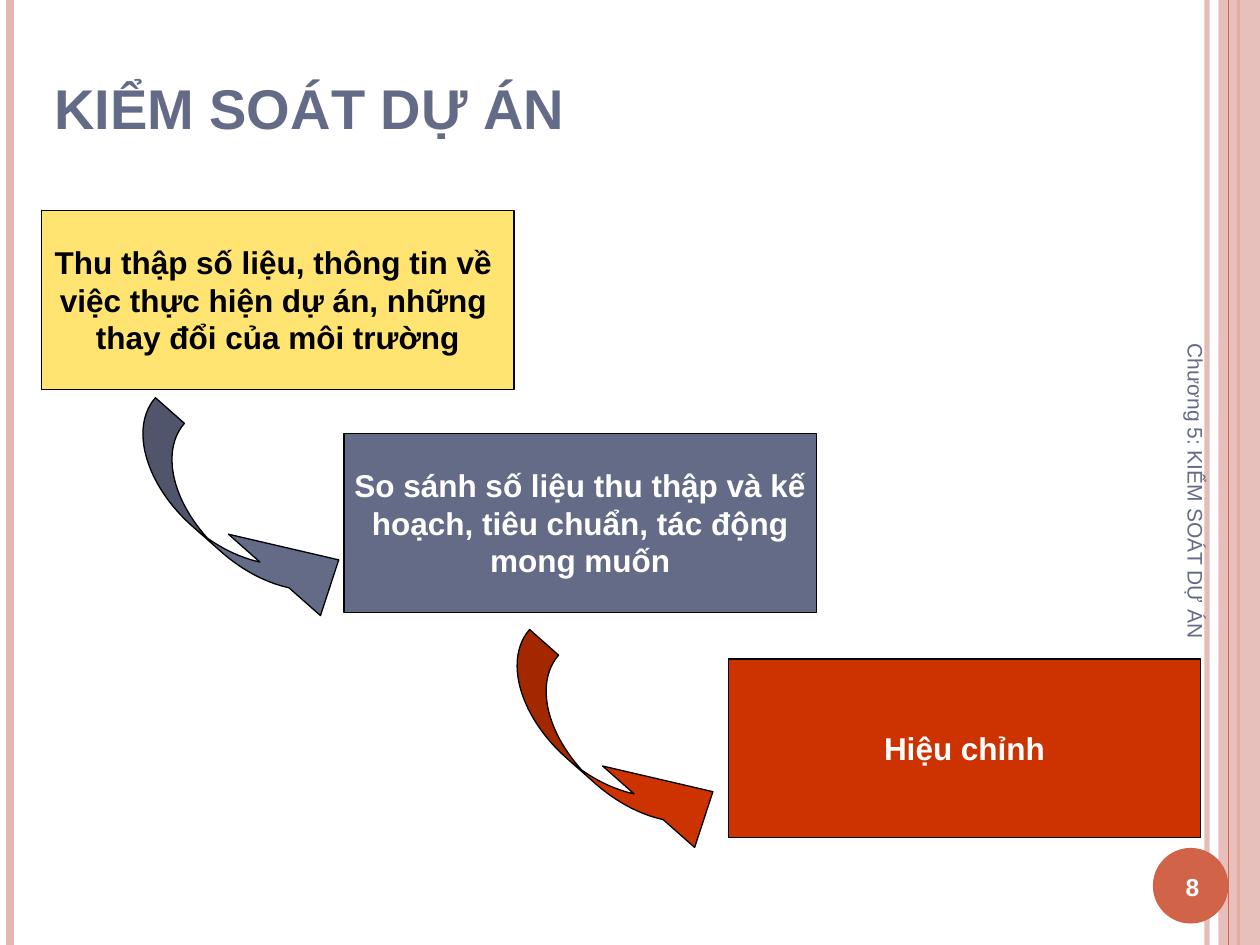
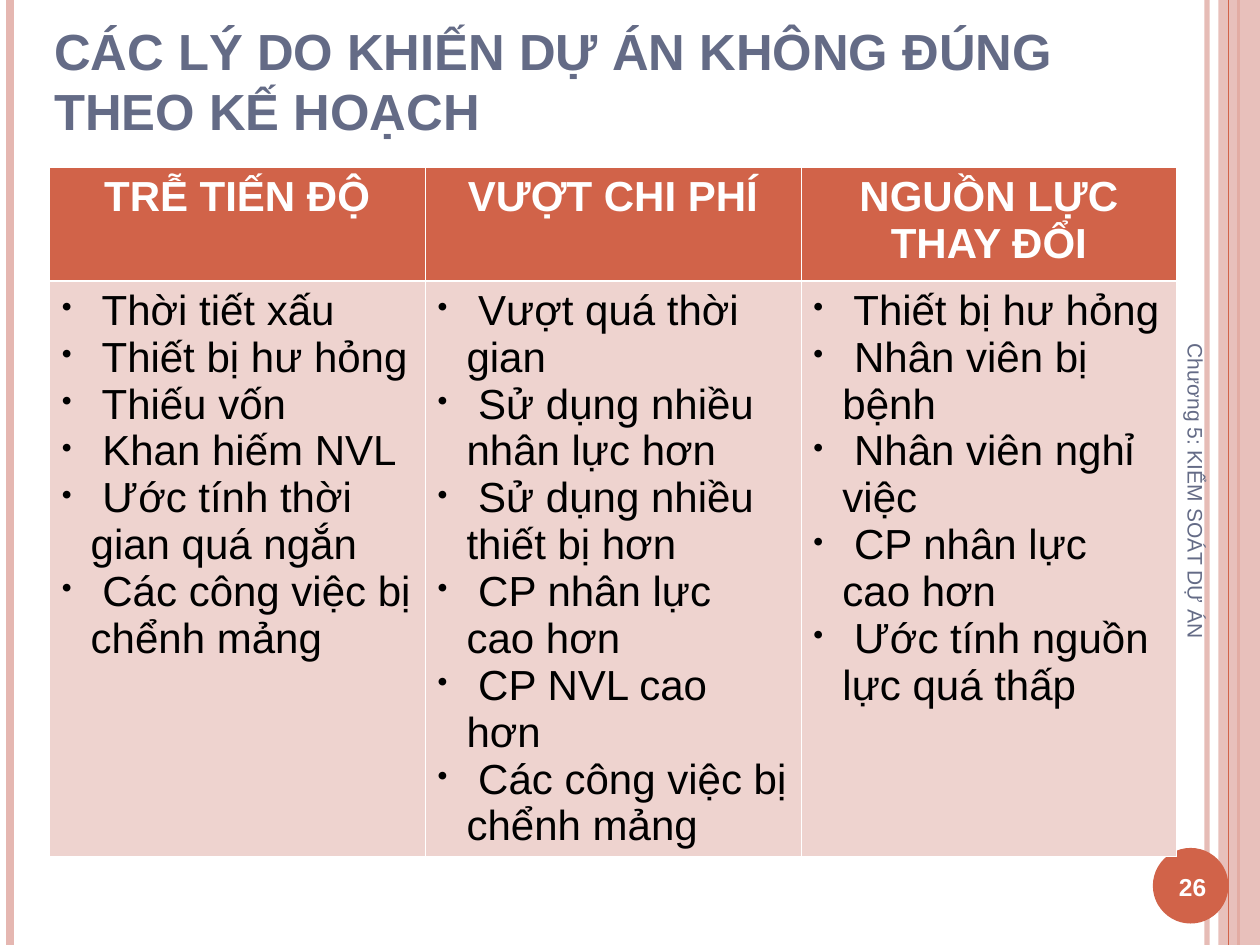
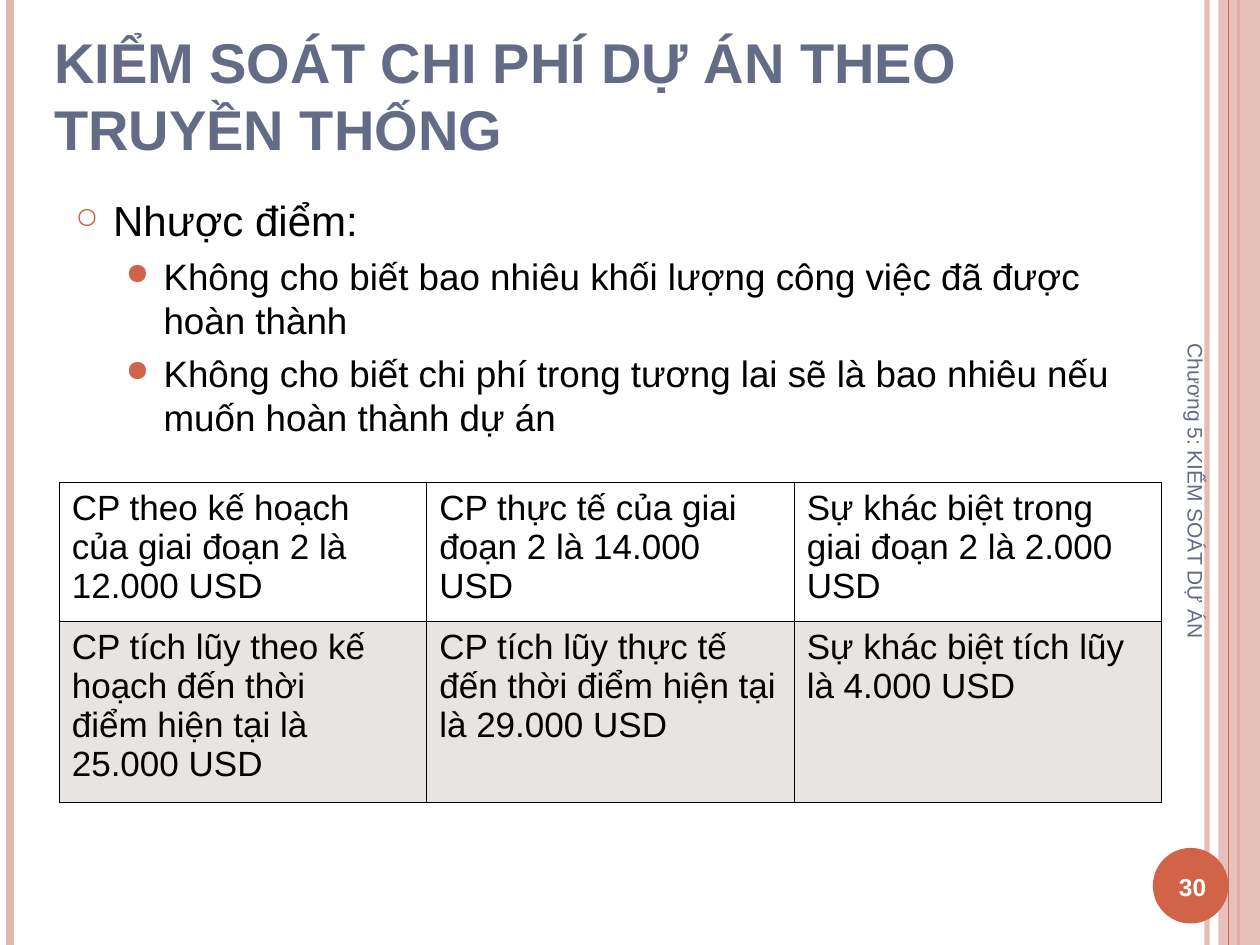
from lxml.etree import SubElement
from pptx import Presentation
from pptx.dml.color import RGBColor
from pptx.enum.shapes import MSO_CONNECTOR as LINK, MSO_SHAPE as SHAPE
from pptx.enum.text import MSO_ANCHOR as ANCHOR, MSO_AUTO_SIZE as FIT, PP_ALIGN as ALIGN
from pptx.oxml.ns import qn
from pptx.util import Inches, Pt

HUES = {
    "slate": "646B86", "coral": "D16349", "pink": "E5B7B1", "blush": "EED3CF",
    "yellow": "FFE471", "red": "CC3300", "taupe": "8C7B70",
    "black": "000000", "white": "FFFFFF",
}
FONT = "Arial"
LOOSE, TIGHT = 1.19, 1.117  # line pitch as a share of the text size
FOOTER = "Chương 5: KIỂM SOÁT DỰ ÁN"

STEPS = [
    (0.33, 1.67, "yellow", "black",
     ["Thu thập số liệu, thông tin về ", "việc thực hiện dự án, những ",
      "thay đổi của môi trường"]),
    (2.73, 3.44, "slate", "white",
     ["So sánh số liệu thu thập và kế", "hoạch, tiêu chuẩn, tác động",
      "mong muốn"]),
    (5.78, 5.23, "red", "white", ["Hiệu chỉnh"]),
]
TURNS = [(1.67, 2.96, "slate"), (4.64, 4.8, "red")]

CAUSES = {
    "TRỄ TIẾN ĐỘ": [
        " Thời tiết xấu", " Thiết bị hư hỏng", " Thiếu vốn", " Khan hiếm NVL",
        " Ước tính thời gian quá ngắn", " Các công việc bị chểnh mảng"],
    "VƯỢT CHI PHÍ": [
        " Vượt quá thời gian", " Sử dụng nhiều nhân lực hơn",
        " Sử dụng nhiều thiết bị hơn", " CP nhân lực cao hơn",
        " CP NVL cao hơn", " Các công việc bị chểnh mảng"],
    "NGUỒN LỰC THAY ĐỔI": [
        " Thiết bị hư hỏng", " Nhân viên bị bệnh", " Nhân viên nghỉ việc",
        " CP nhân lực cao hơn", " Ước tính nguồn lực quá thấp"],
}

FLAWS = [
    "Không cho biết bao nhiêu khối lượng công việc đã được hoàn thành",
    "Không cho biết chi phí trong tương lai sẽ là bao nhiêu nếu muốn hoàn thành dự án",
]
COSTS = [
    [["CP theo kế hoạch của giai đoạn 2 là 12.000 USD"],
     ["CP thực tế của giai đoạn 2 là 14.000 USD"],
     ["Sự khác biệt trong giai đoạn 2 là 2.000 USD"]],
    [["CP tích lũy theo kế hoạch đến thời", "điểm hiện tại là 25.000 USD"],
     ["CP tích lũy thực tế đến thời điểm hiện tại là 29.000 USD"],
     ["Sự khác biệt tích lũy là 4.000 USD"]],
]


def rgb(hue):
    return RGBColor.from_string(HUES[hue])


def inches(box):
    return [Inches(n) for n in box]


def paint(fill, hue):
    fill.solid()
    fill.fore_color.rgb = rgb(hue)


def fade(node, share):
    """Set the opacity, in percent, of the first colour inside an XML node."""
    color = next(node.iter(qn("a:srgbClr")))
    SubElement(color, qn("a:alpha"), val=str(share * 1000))


def bullet(para, sign, hue, share, left, hang):
    props = para._p.get_or_add_pPr()
    props.set("marL", str(Inches(left)))
    props.set("indent", str(-Inches(hang)))
    color = SubElement(props, qn("a:buClr"))
    SubElement(color, qn("a:srgbClr"), val=HUES[hue])
    SubElement(props, qn("a:buSzPct"), val=str(share * 1000))
    SubElement(props, qn("a:buChar"), char=sign)


def style(para, size, hue, bold=False, align=ALIGN.LEFT, pitch=LOOSE):
    para.alignment = align
    para.line_spacing = Pt(round(size * pitch, 1))
    font = para.font
    font.name, font.size, font.bold = FONT, Pt(size), bold
    font.color.rgb = rgb(hue)


def write(frame, lines):
    """Put one paragraph per line into a text frame and return them."""
    frame.text = "\n".join(lines)
    return frame.paragraphs


def add_text(slide, box, lines, anchor=ANCHOR.MIDDLE):
    shape = slide.shapes.add_textbox(*inches(box))
    frame = shape.text_frame
    frame.word_wrap = True
    frame.vertical_anchor = anchor
    return shape, write(frame, lines)


def add_shape(slide, kind, box, hue, edge=None):
    shape = slide.shapes.add_shape(kind, *inches(box))
    shape.shadow.inherit = False
    paint(shape.fill, hue)
    if edge:
        shape.line.color.rgb = rgb(edge)
        shape.line.width = Pt(0.75)
    else:
        shape.line.fill.background()
    return shape


def add_rule(slide, x, hue, width):
    rule = slide.shapes.add_connector(LINK.STRAIGHT, *inches((x, 0, x, 7.5)))
    rule.line.color.rgb = rgb(hue)
    rule.line.width = Pt(width)
    SubElement(rule._element.spPr, qn("a:effectLst"))
    return rule


def add_bands(slide, layout):
    """Draw the side bands once, then hand them to the layout all slides use."""
    edge = add_rule(slide, 9.58, "pink", 3)
    fade(edge._element, 93)
    left = add_rule(slide, 0.08, "pink", 4.5)
    right = add_rule(slide, 9.83, "coral", 1.5)
    band = add_shape(slide, SHAPE.RECTANGLE, (9.67, 0, 0.33, 7.5), "pink")
    fade(band._element.spPr, 87)
    thin = add_rule(slide, 9.75, "coral", 0.75)
    disc = add_shape(slide, SHAPE.OVAL, (9.15, 6.73, 0.6, 0.6), "coral")
    for index, part in enumerate((edge, left, right, band, thin, disc), 100):
        node = part._element
        next(node.iter(qn("p:cNvPr"))).set("id", str(index))
        layout.shapes._spTree.append(node)


def add_title(slide, text, size, box):
    title = slide.shapes.title
    title.left, title.top, title.width, title.height = inches(box)
    frame = title.text_frame
    frame.word_wrap, frame.auto_size = True, FIT.NONE
    frame.vertical_anchor = ANCHOR.BOTTOM
    frame.text = text
    style(frame.paragraphs[0], size, "slate", bold=True)


def start(deck, text, number, size=32, box=(0.33, 0.3, 8.67, 0.87)):
    """Add a slide with its title, side footer and page number."""
    slide = deck.slides.add_slide(deck.slide_layouts[5])
    add_title(slide, text, size, box)
    foot, paras = add_text(slide, (7.74, 4.18, 3.5, 0.4), [FOOTER])
    foot.rotation = 90
    style(paras[0], 12, "slate")
    _, paras = add_text(slide, (9.13, 6.75, 0.67, 0.57), [str(number)])
    style(paras[0], 14, "white", bold=True, align=ALIGN.CENTER)
    return slide


def add_step(slide, left, top, hue, ink, lines):
    box = add_shape(slide, SHAPE.RECTANGLE, (left, top, 3.75, 1.42), hue, "black")
    frame = box.text_frame
    frame.word_wrap = False
    frame.vertical_anchor = ANCHOR.MIDDLE
    for para in write(frame, lines):
        style(para, 18, ink, bold=True, align=ALIGN.CENTER)


def add_turn(slide, left, top, hue):
    turn = add_shape(slide, SHAPE.CURVED_RIGHT_ARROW, (left, top, 0.57, 2.43), hue, "black")
    turn.rotation = 311.5
    for index, value in enumerate((0.54, 1.71, 0.75)):
        turn.adjustments[index] = value


def add_grid(slide, box, heights, cols):
    left, top, width = box
    frame = slide.shapes.add_table(
        len(heights), cols, *inches((left, top, width, sum(heights))))
    table = frame.table
    table.first_row = table.horz_banding = False
    for col in table.columns:
        col.width = Inches(width / cols)
    for row, height in zip(table.rows, heights):
        row.height = Inches(height)
    return table


def border(cell, hue, width=0.45, **sides):
    """Line all four sides of a cell; L, R, T or B gives a side its own width."""
    props = cell._tc.get_or_add_tcPr()
    for index, side in enumerate("LRTB"):
        weight = Pt(sides.get(side, width))
        line = props.makeelement(qn("a:ln" + side), {"w": str(weight)})
        fill = SubElement(line, qn("a:solidFill"))
        SubElement(fill, qn("a:srgbClr"), val=HUES[hue])
        props.insert(index, line)


def add_causes(slide, box):
    table = add_grid(slide, box, (0.9, 4.5), len(CAUSES))
    for col, (head, items) in enumerate(CAUSES.items()):
        top, body = table.cell(0, col), table.cell(1, col)
        paint(top.fill, "coral")
        border(top, "white", B=1.47)
        for para in write(top.text_frame, [head]):
            style(para, 24, "white", bold=True, align=ALIGN.CENTER, pitch=TIGHT)
        paint(body.fill, "blush")
        border(body, "white", T=1.47)
        for para in write(body.text_frame, items):
            bullet(para, "•", "black", 70, 0.23, 0.23)
            style(para, 24, "black", pitch=TIGHT)


def add_flaws(slide, box):
    _, paras = add_text(slide, box, ["Nhược điểm:"] + FLAWS, ANCHOR.TOP)
    head, *rest = paras
    bullet(head, "○", "coral", 70, 0.3, 0.3)
    style(head, 24, "black")
    head.space_before = Pt(6)
    for para in rest:
        para.level = 1
        bullet(para, "●", "coral", 80, 0.7, 0.3)
        style(para, 21, "black")
        para.space_before = Pt(5.2)


def add_costs(slide, box):
    table = add_grid(slide, box, (1.1, 1.44), 3)
    for row, line in enumerate(COSTS):
        for col, lines in enumerate(line):
            cell = table.cell(row, col)
            if row:
                paint(cell.fill, "taupe")
                fade(cell._tc.tcPr, 20)
            else:
                cell.fill.background()
            border(cell, "black")
            for para in write(cell.text_frame, lines):
                style(para, 20, "black", pitch=TIGHT)


def main():
    deck = Presentation()
    deck.slide_width, deck.slide_height = Inches(10), Inches(7.5)

    flow = start(deck, "KIỂM SOÁT DỰ ÁN", 8)
    add_bands(flow, deck.slide_layouts[5])
    for step in STEPS:
        add_step(flow, *step)
    for turn in TURNS:
        add_turn(flow, *turn)

    why = start(deck, "CÁC LÝ DO KHIẾN DỰ ÁN KHÔNG ĐÚNG THEO KẾ HOẠCH", 26, size=29)
    add_causes(why, (0.39, 1.33, 8.95))

    cost = start(deck, "KIỂM SOÁT CHI PHÍ DỰ ÁN THEO \vTRUYỀN THỐNG", 30,
                 box=(0.33, 0.16, 8.67, 1.17))
    add_flaws(cost, (0.5, 1.5, 8.5, 2.09))
    add_costs(cost, (0.47, 3.83, 8.75))

    deck.save("out.pptx")


if __name__ == "__main__":
    main()
